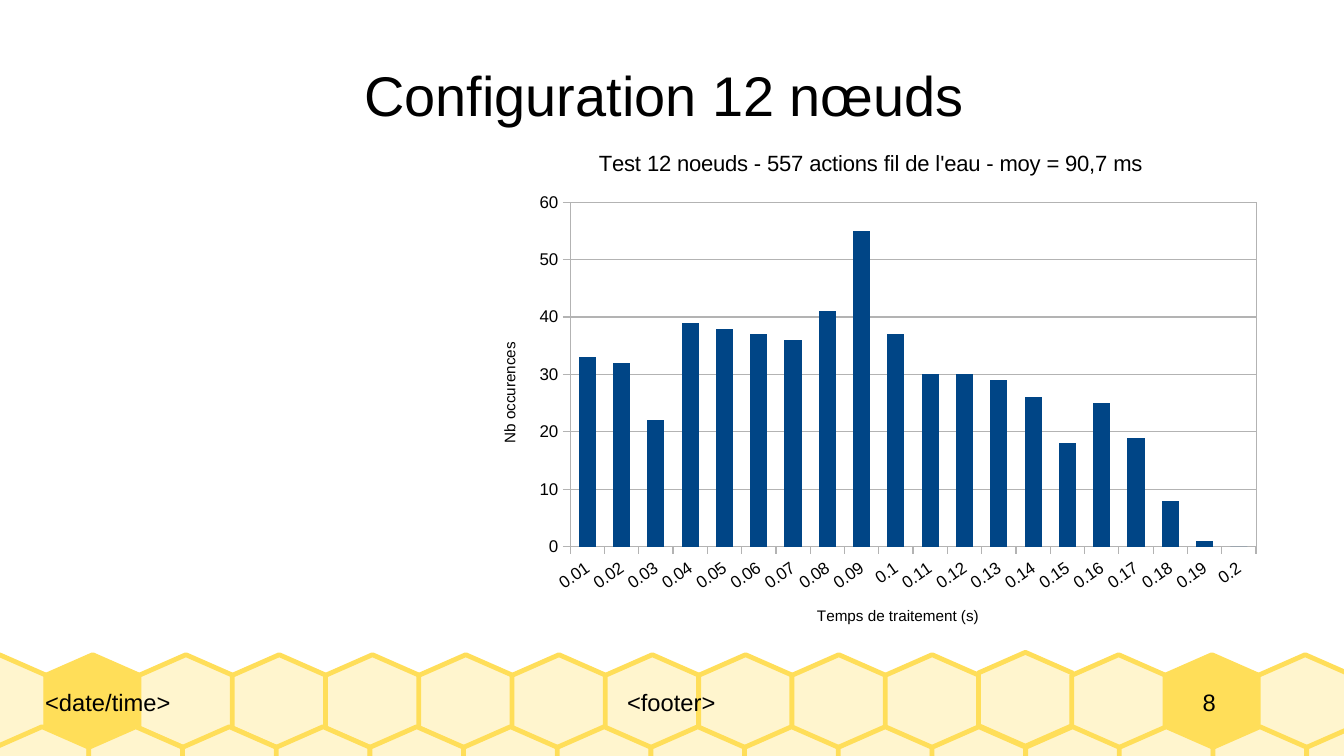
from dataclasses import dataclass
from typing import Any

from lxml import etree
from pptx import Presentation
from pptx import util as u
from pptx.chart import data as cd
from pptx.dml import color as dml
from pptx.enum import chart as ch, text
from pptx.oxml import ns

WIDTH, HEIGHT = u.Inches(11.02), u.Inches(6.2)
FONT = "Arial"
BLACK, GREY, BLUE = "000000", "B3B3B3", "004586"
CREAM, HONEY = "FFF5CE", "FFDE59"
HEX_W, HEX_H = 6.99, 12.42
HEX_POINTS = [(0.5, 0), (0, 0.22), (0, 0.78), (0.5, 1), (1, 0.78), (1, 0.22)]
COUNTS = [33, 32, 22, 39, 38, 37, 36, 41, 55, 37, 30, 30, 29, 26, 18, 25, 19, 8, 1, 0]


@dataclass
class Box:
    left: float
    top: float
    width: float
    height: float

    def emu(self) -> tuple[int, int, int, int]:
        return (across(self.left), down(self.top), across(self.width), down(self.height))


@dataclass
class HexRow:
    left: float
    top: float
    pitch: float
    filled: tuple[int, ...] = ()
    raised: tuple[int, ...] = ()


@dataclass
class Label:
    words: str
    box: Box
    align: Any


ROWS = [
    HexRow(-3.54, 86.61, 6.94, filled=(1, 13), raised=(11,)),
    HexRow(-0.36, 96.13, 6.97),
]
LABELS = [
    Label("<date/time>", Box(3.36, 86.61, 23.87, HEX_H), text.PP_ALIGN.LEFT),
    Label("<footer>", Box(27.22, 86.61, 45.46, HEX_H), text.PP_ALIGN.CENTER),
    Label("8", Box(84.3, 86.61, 11.34, HEX_H), text.PP_ALIGN.CENTER),
]
TITLE = Label("Configuration 12 nœuds ", Box(4.99, 4.03, 90.02, 16.77), text.PP_ALIGN.CENTER)
CHART = Box(35.3, 17.1, 59.35, 69.03)
PLOT = {"x": 0.12, "y": 0.14, "w": 0.86, "h": 0.66}
FRAME = {
    "word_wrap": True, "auto_size": text.MSO_AUTO_SIZE.NONE,
    "vertical_anchor": text.MSO_ANCHOR.MIDDLE,
    "margin_left": 0, "margin_right": 0, "margin_top": 0, "margin_bottom": 0,
}


def across(percent: float) -> int:
    return round(WIDTH * percent / 100)


def down(percent: float) -> int:
    return round(HEIGHT * percent / 100)


def rgb(value: str) -> dml.RGBColor:
    return dml.RGBColor.from_string(value)


def apply(target: Any, values: dict[str, Any]) -> None:
    for name, value in values.items():
        setattr(target, name, value)


def set_font(font: Any, size: float) -> None:
    apply(font, {"name": FONT, "size": u.Pt(size), "bold": False})
    font.color.rgb = rgb(BLACK)


def set_line(line: Any, color: str, width: float) -> None:
    line.color.rgb = rgb(color)
    line.width = u.Pt(width)


def write(sp: Any, label: Label, size: float) -> None:
    tf = sp.text_frame
    apply(tf, FRAME)
    p = tf.paragraphs[0]
    p.alignment = label.align
    r = p.add_run()
    r.text = label.words
    set_font(r.font, size)


def draw_hexagon(s: Any, left: float, top: float, color: str) -> None:
    points = [(across(left + HEX_W * x), down(top + HEX_H * y)) for x, y in HEX_POINTS]
    builder = s.shapes.build_freeform(*points[0])
    builder.add_line_segments(points[1:], close=True)
    sp = builder.convert_to_shape()
    sp.shadow.inherit = False
    sp.fill.solid()
    sp.fill.fore_color.rgb = rgb(color)
    set_line(sp.line, HONEY, 2.83)


def draw_row(s: Any, row: HexRow) -> None:
    for i in range(15):
        top = row.top - (0.32 if i in row.raised else 0)
        draw_hexagon(s, row.left + i * row.pitch, top, HONEY if i in row.filled else CREAM)


def set_chart_title(owner: Any, words: str, size: float) -> None:
    tf = owner.text_frame
    tf.text = words
    set_font(tf.paragraphs[0].runs[0].font, size)


def format_axis(axis: Any, title: str, number_format: str, label_turn: int, title_turn: int) -> None:
    set_chart_title(axis.axis_title, title, 9)
    apply(axis, {"major_tick_mark": ch.XL_TICK_MARK.OUTSIDE,
                 "minor_tick_mark": ch.XL_TICK_MARK.NONE})
    labels = axis.tick_labels
    apply(labels, {"number_format": number_format, "number_format_is_linked": False})
    set_font(labels.font, 10)
    set_line(axis.format.line, GREY, 0)
    title_body = axis.axis_title._element.find(".//" + ns.qn("a:bodyPr"))
    label_body = axis._element.find(ns.qn("c:txPr")).find(ns.qn("a:bodyPr"))
    for body, degrees in ((title_body, title_turn), (label_body, label_turn)):
        body.set("rot", str(degrees * 60000))


def place_plot(chart: Any) -> None:
    area = chart._chartSpace.find(".//" + ns.qn("c:plotArea"))
    for old in area.findall(ns.qn("c:layout")):
        area.remove(old)
    layout = etree.Element(ns.qn("c:layout"))
    manual = etree.SubElement(layout, ns.qn("c:manualLayout"))
    values = {"layoutTarget": "inner", "xMode": "edge", "yMode": "edge", **PLOT}
    for tag, value in values.items():
        etree.SubElement(manual, ns.qn("c:" + tag)).set("val", str(value))
    area.insert(0, layout)
    props = etree.SubElement(area, ns.qn("c:spPr"))
    etree.SubElement(props, ns.qn("a:noFill"))
    line = etree.SubElement(props, ns.qn("a:ln"), w="0")
    fill = etree.SubElement(line, ns.qn("a:solidFill"))
    etree.SubElement(fill, ns.qn("a:srgbClr"), val=GREY)


def draw_chart(s: Any) -> None:
    data = cd.CategoryChartData()
    data.categories = [f"{i / 100:g}" for i in range(1, len(COUNTS) + 1)]
    data.add_series("Series 1", COUNTS)
    chart = s.shapes.add_chart(ch.XL_CHART_TYPE.COLUMN_CLUSTERED, *CHART.emu(), data).chart
    set_font(chart.font, 10)
    chart.has_legend = False
    set_chart_title(chart.chart_title, "Test 12 noeuds - 557 actions fil de l'eau - moy = 90,7 ms ", 13)
    format_axis(chart.category_axis, "Temps de traitement (s)", "0.00", -35, 0)
    format_axis(chart.value_axis, "Nb occurences", "General", 0, -90)
    apply(chart.value_axis, {"minimum_scale": 0, "maximum_scale": 60, "major_unit": 10})
    set_line(chart.value_axis.major_gridlines.format.line, GREY, 0)
    plot = chart.plots[0]
    apply(plot, {"gap_width": 100, "vary_by_categories": False})
    fill = plot.series[0].format.fill
    fill.solid()
    fill.fore_color.rgb = rgb(BLUE)
    place_plot(chart)


def main() -> None:
    prs = Presentation()
    apply(prs, {"slide_width": WIDTH, "slide_height": HEIGHT})
    s = prs.slides.add_slide(prs.slide_layouts[5])
    for row in ROWS:
        draw_row(s, row)
    for label in LABELS:
        write(s.shapes.add_textbox(*label.box.emu()), label, 14)
    title = s.shapes.title
    apply(title, dict(zip(("left", "top", "width", "height"), TITLE.box.emu())))
    write(title, TITLE, 33)
    draw_chart(s)
    prs.save("out.pptx")


if __name__ == "__main__":
    main()
